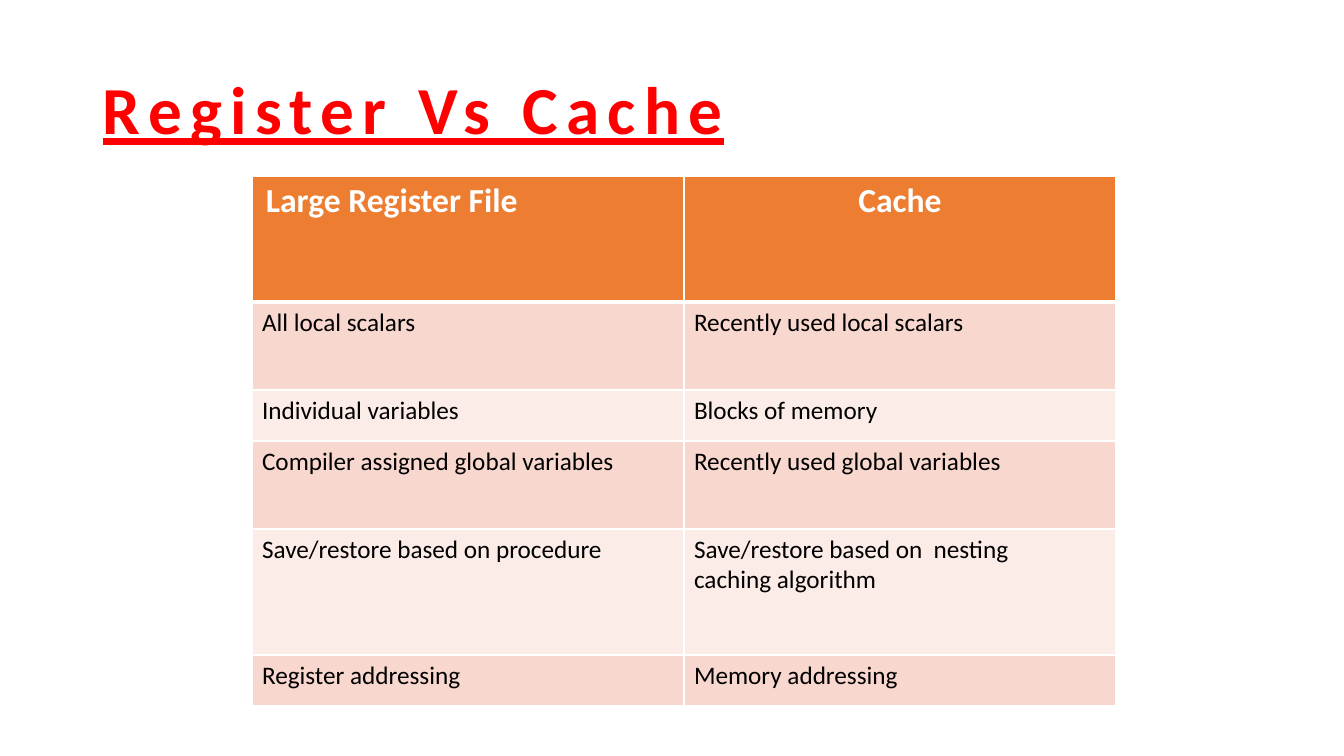
import pptx
import pptx.util
import pptx.dml.color
import pptx.enum.text
import pptx.oxml
import pptx.oxml.ns

PX = 914400 / 100.8
ALIGN = pptx.enum.text.PP_ALIGN
ANCHOR = pptx.enum.text.MSO_ANCHOR


def px(n):
    """Turn slide pixels into EMU."""
    return pptx.util.Emu(round(n * PX))


def rgb(code):
    return pptx.dml.color.RGBColor.from_string(code)


prs = pptx.Presentation()
prs.slide_width, prs.slide_height = px(1344), px(756)
s = prs.slides.add_slide(prs.slide_layouts[6])

# Title
tf = s.shapes.add_textbox(px(93), px(40), px(1159), px(146)).text_frame
tf.word_wrap = True
tf.vertical_anchor = ANCHOR.MIDDLE
p = tf.paragraphs[0]
p.line_spacing = 0.9
r = p.add_run()
r.text = "Register Vs Cache"
r.font.name = "Calibri"
r.font.size = pptx.util.Pt(48)
r.font.bold = r.font.underline = True
r.font.color.rgb = rgb("FF0000")
r.font._element.set("spc", "600")

# Comparison table: row height, register file, cache
rows = [
    (126, "Large Register File", "Cache"),
    (88, "All local scalars", "Recently used local scalars"),
    (51, "Individual variables", "Blocks of memory"),
    (88, "Compiler assigned global variables", "Recently used global variables"),
    (126, "Save/restore based on procedure", "Save/restore based on  nesting\ncaching algorithm"),
    (51, "Register addressing", "Memory addressing"),
]
height = sum(row[0] for row in rows)
table = s.shapes.add_table(len(rows), 2, px(252), px(176), px(865), px(height)).table
for col in table.columns:
    col.width = px(432)

for i, (row_height, *texts) in enumerate(rows):
    table.rows[i].height = px(row_height)
    header = i == 0
    fill = "ED7D31" if header else "F8D7CE" if i % 2 else "FCECE8"
    for j, text in enumerate(texts):
        cell = table.cell(i, j)
        tcPr = cell._tc.get_or_add_tcPr()
        for side in "LRTB":
            thick = (i, side) in ((0, "B"), (1, "T"))
            tcPr.append(pptx.oxml.parse_xml(
                f'<a:ln{side} {pptx.oxml.ns.nsdecls("a")} w="{38100 if thick else 12700}">'
                f'<a:solidFill><a:srgbClr val="FFFFFF"/></a:solidFill></a:ln{side}>'))
        cell.fill.solid()
        cell.fill.fore_color.rgb = rgb(fill)
        if header and j == 0:
            cell.margin_left = px(14)
        p = cell.text_frame.paragraphs[0]
        p.alignment = ALIGN.CENTER if header and j == 1 else ALIGN.LEFT
        for k, line in enumerate(text.split("\n")):
            if k:
                p.add_line_break()
            r = p.add_run()
            r.text = line
            r.font.name = "Calibri"
            r.font.size = pptx.util.Pt(24 if header else 18)
            r.font.bold = header
            r.font.color.rgb = rgb("FFFFFF" if header else "000000")

prs.save("out.pptx")
